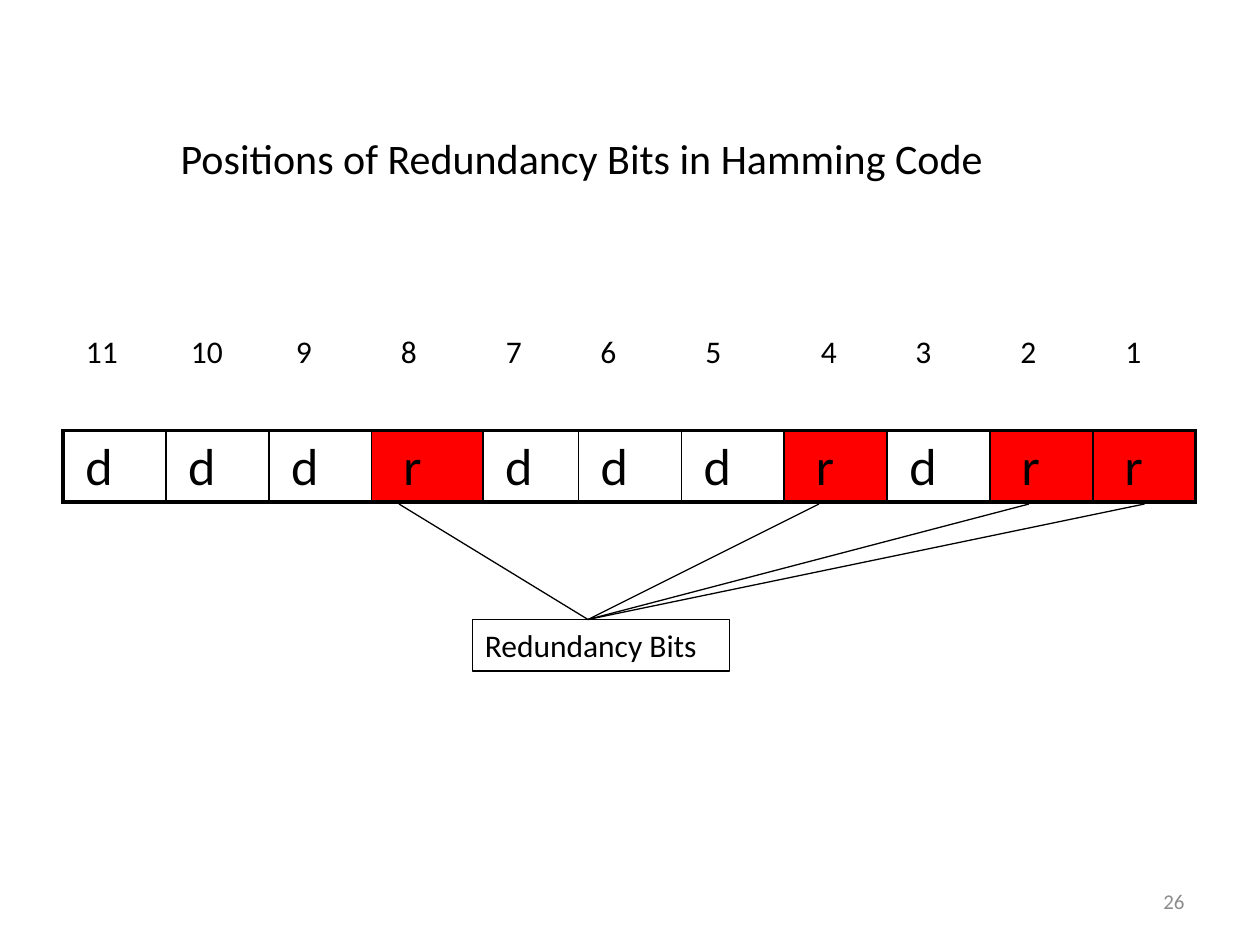
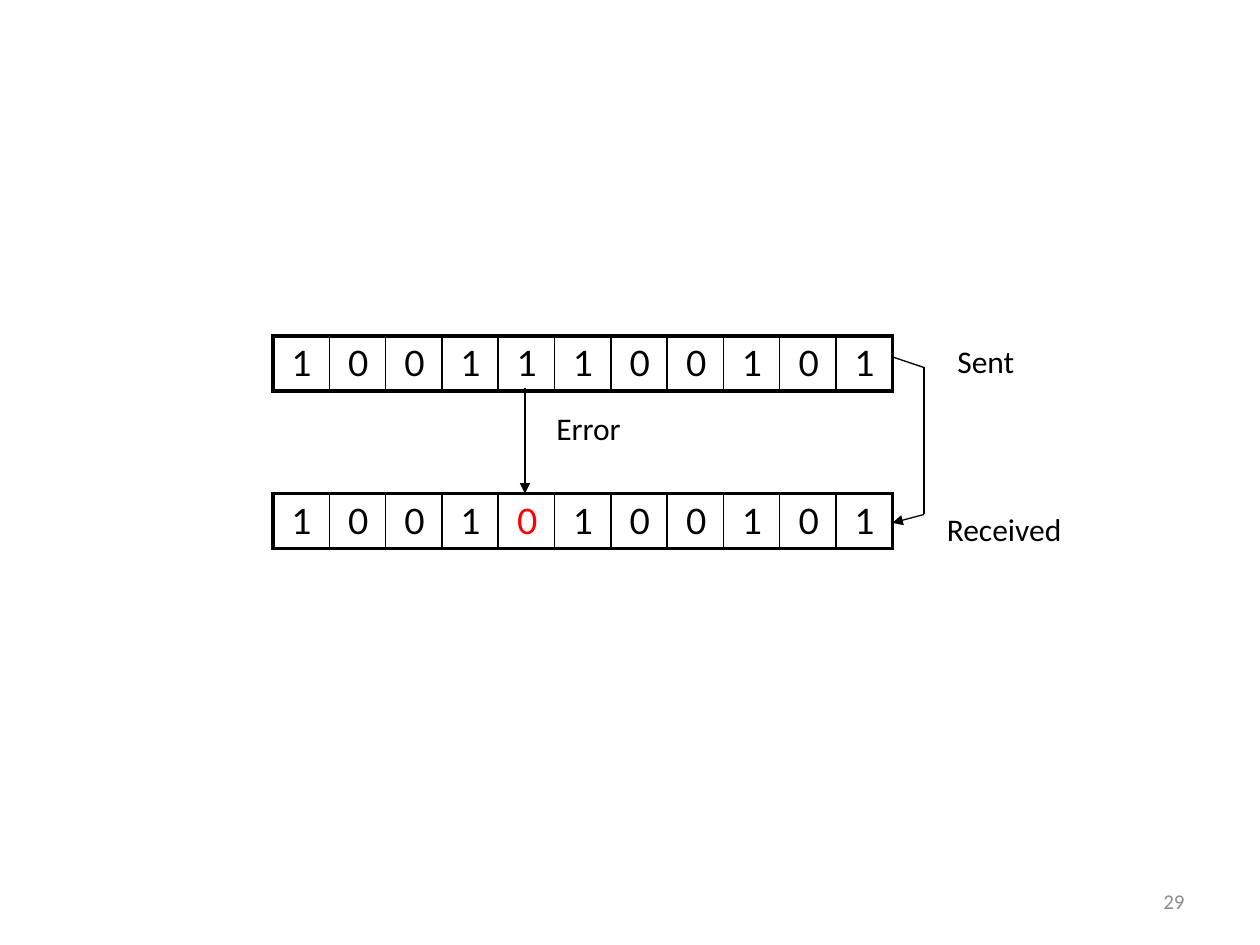
from itertools import pairwise

from lxml import etree
from pptx import Presentation
from pptx.dml.color import RGBColor
from pptx.enum.shapes import MSO_CONNECTOR
from pptx.enum.text import MSO_ANCHOR, MSO_AUTO_SIZE, PP_ALIGN
from pptx.oxml.ns import qn
from pptx.util import Pt

PX = 7620  # EMU per px, 120 px to the inch
BLACK = RGBColor(0, 0, 0)
RED = RGBColor(255, 0, 0)
GREY = RGBColor(0x8C, 0x8C, 0x8C)
TEXT_FONT, BIT_FONT = "Calibri", "Lato"
THIN, THICK = Pt(1), Pt(2.25)


def add_text(slide, text, left, top, width, height=48, size=18, color=BLACK):
    box = slide.shapes.add_textbox(left * PX, top * PX, width * PX, height * PX)
    box.text_frame.word_wrap = True
    paragraph = box.text_frame.paragraphs[0]
    paragraph.text = text
    paragraph.font.name = TEXT_FONT
    paragraph.font.size = Pt(size)
    paragraph.font.color.rgb = color
    return box


def add_codeword(slide, bits, left, top, widths, height, size, indents):
    """Add a one-row table of bits in a thick frame; return its cells."""
    frame = slide.shapes.add_table(1, len(bits), left * PX, top * PX,
                                   round(sum(widths) * PX), height * PX)
    table = frame.table
    table.first_row = table.horz_banding = False
    table.rows[0].height = height * PX
    cells = [table.cell(0, column) for column in range(len(bits))]
    for column, (cell, bit, width) in enumerate(zip(cells, bits, widths)):
        table.columns[column].width = round(width * PX)
        cell.margin_left = indents[bit] * PX
        cell.margin_right = 0
        paragraph = cell.text_frame.paragraphs[0]
        paragraph.text = bit
        paragraph.font.name = BIT_FONT
        paragraph.font.size = Pt(size)
        paragraph.font.color.rgb = BLACK
        borders = {"a:lnL": THIN if column else THICK,
                   "a:lnR": THIN if column < len(bits) - 1 else THICK,
                   "a:lnT": THICK, "a:lnB": THICK}
        properties = cell._tc.get_or_add_tcPr()
        for tag, weight in borders.items():
            border = etree.SubElement(properties, qn(tag), w=str(int(weight)))
            fill = etree.SubElement(border, qn("a:solidFill"))
            etree.SubElement(fill, qn("a:srgbClr"), val=str(BLACK))
        cell.fill.background()
    return cells


prs = Presentation()
prs.slide_width, prs.slide_height = 1200 * PX, 900 * PX

# Positions of the redundancy bits
positions = prs.slides.add_slide(prs.slide_layouts[5])
title = positions.shapes.title
title.left, title.top, title.width, title.height = (v * PX for v in (160, 120, 900, 60))
title.text = "Positions of Redundancy Bits in Hamming Code"
title.text_frame.word_wrap = True
title.text_frame.auto_size = MSO_AUTO_SIZE.NONE
title.text_frame.vertical_anchor = MSO_ANCHOR.TOP
heading = title.text_frame.paragraphs[0]
heading.alignment = PP_ALIGN.LEFT
heading.font.name = TEXT_FONT
heading.font.size = Pt(24)
heading.font.color.rgb = BLACK

bit_kinds = "dddrdddrdrr"
kind_cells = add_codeword(positions, bit_kinds, 60, 410, [98] * 3 + [106, 91] + [98] * 6,
                          68, 28, {"d": 21, "r": 30})
for cell, kind in zip(kind_cells, bit_kinds):
    if kind == "r":
        cell.fill.solid()
        cell.fill.fore_color.rgb = RED

number_lefts = [70, 170, 270, 370, 470, 560, 660, 770, 860, 960, 1060]
for number, left in zip(range(11, 0, -1), number_lefts):
    add_text(positions, str(number), left, 310, 58 if number > 9 else 41)

redundancy_label = add_text(positions, "Redundancy Bits", 450, 590, 245, 49)
redundancy_label.line.color.rgb = BLACK
redundancy_label.line.width = Pt(0.75)

# An error between sender and receiver
transmission = prs.slides.add_slide(prs.slide_layouts[6])
for word, top in (("10011100101", 320), ("10010100101", 470)):
    word_cells = add_codeword(transmission, word, 260, top, [590 / 11] * 11,
                              52, 20, {"0": 18, "1": 18})
word_cells[4].text_frame.paragraphs[0].font.color.rgb = RED  # the flipped bit

add_text(transmission, "Sent", 900, 320, 110)
add_text(transmission, "Received", 890, 480, 190)
add_text(transmission, "Error", 518, 384, 90)

# Lines: slide, start, end, arrowhead at the end
lines = [(positions, (x, 480), (560, 590), False) for x in (380, 780, 980, 1090)]
lines.append((transmission, (500, 370), (500, 470), True))
sent_to_received = [(850, 340), (880, 350), (880, 490), (850, 498)]
for start, end in pairwise(sent_to_received):
    lines.append((transmission, start, end, end == sent_to_received[-1]))

for slide, start, end, arrow in lines:
    line = slide.shapes.add_connector(MSO_CONNECTOR.STRAIGHT,
                                      *(v * PX for v in start + end))
    line.line.color.rgb = BLACK
    line.line.width = Pt(0.75)
    if arrow:
        etree.SubElement(line.line._get_or_add_ln(), qn("a:tailEnd"), type="triangle")
    etree.SubElement(line._element.spPr, qn("a:effectLst"))

for slide, page in ((positions, "26"), (transmission, "29")):
    footer = add_text(slide, page, 860, 834, 280, size=12, color=GREY)
    footer.text_frame.vertical_anchor = MSO_ANCHOR.MIDDLE
    footer.text_frame.paragraphs[0].alignment = PP_ALIGN.RIGHT

prs.save("out.pptx")
